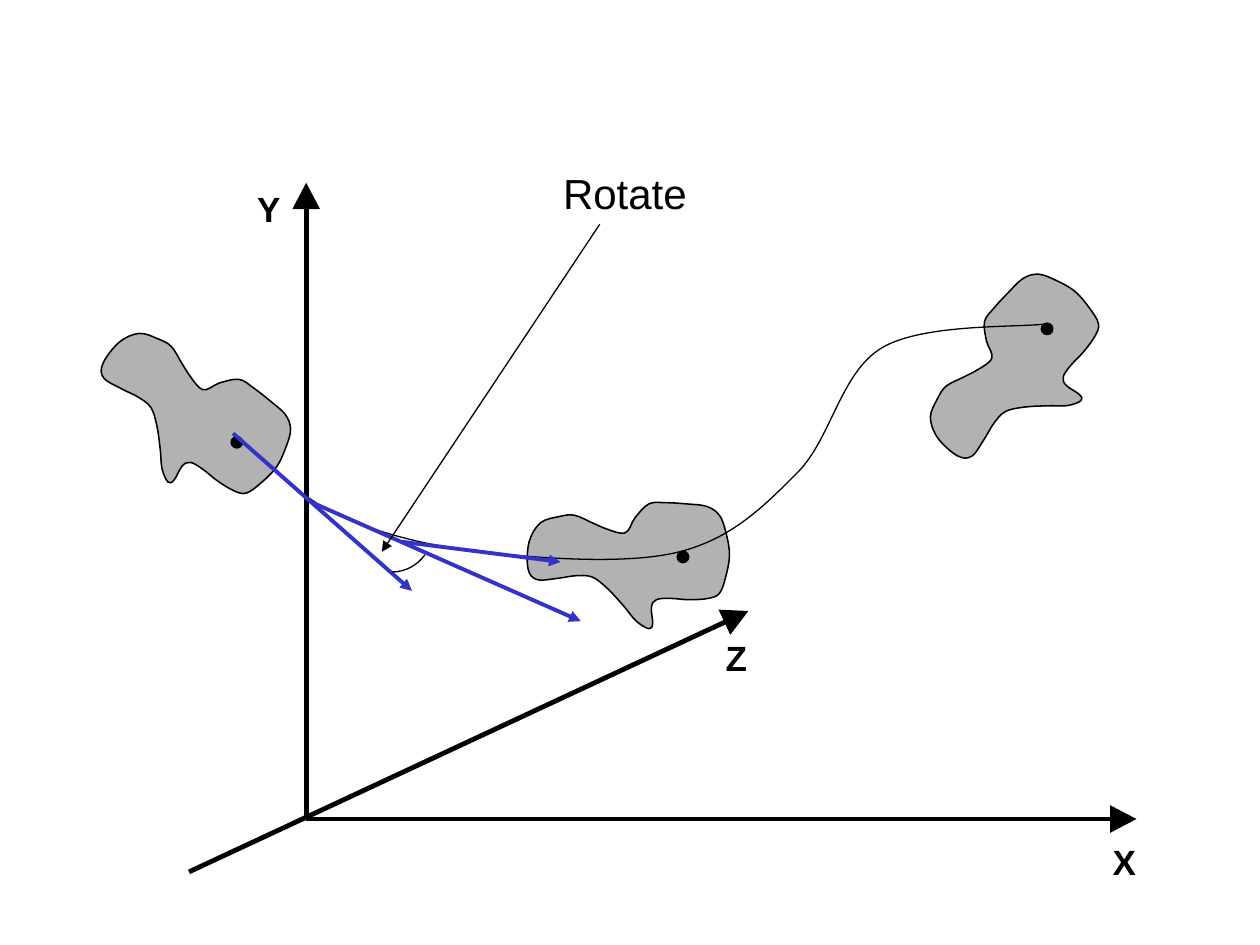
import math

import pptx
import pptx.dml.color
import pptx.enum.shapes
import pptx.enum.text
import pptx.oxml.ns
import pptx.util
from lxml import etree
from pptx.util import Inches

BLACK = pptx.dml.color.RGBColor(0x00, 0x00, 0x00)
GRAY = pptx.dml.color.RGBColor(0xB2, 0xB2, 0xB2)
BLUE = pptx.dml.color.RGBColor(0x33, 0x33, 0xCC)

NECK = [(-0.63, -0.23), (-0.46, -0.19), (-0.38, -0.31)]
LARGE_LOBE = [(-0.27, -0.42), (-0.14, -0.43), (0.03, -0.42), (0.19, -0.4), (0.29, -0.33),
              (0.34, -0.2), (0.37, -0.02), (0.34, 0.16), (0.29, 0.29), (0.2, 0.33),
              (0.05, 0.34), (-0.1, 0.33)]
SPIKE = [(-0.21, 0.34), (-0.25, 0.4), (-0.24, 0.53), (-0.27, 0.57), (-0.37, 0.51),
         (-0.47, 0.39), (-0.6, 0.25)]
SMALL_LOBE = [(-0.72, 0.16), (-0.85, 0.15), (-0.99, 0.17), (-1.16, 0.18), (-1.23, 0.09),
              (-1.22, -0.12), (-1.13, -0.27), (-0.98, -0.32), (-0.86, -0.33), (-0.72, -0.27)]
BODY = NECK + LARGE_LOBE + SPIKE + SMALL_LOBE
POSES = [((1.88, 3.51), 34.6), ((5.42, 4.42), 0), ((8.31, 2.61), -50.6)]
PIVOT_RADIUS = 0.045

ORIGIN = (2.43, 6.5)
AXES = [(ORIGIN, (2.43, 1.45)), (ORIGIN, (9.02, 6.5)), ((1.5, 6.92), (5.94, 4.85))]
AXIS_LABELS = [("X", 8.83, 6.67, 0.19), ("Y", 2.04, 1.49, 0.19), ("Z", 5.76, 5.05, 0.17)]
ARROWHEAD_LENGTH, ARROWHEAD_HALF_WIDTH, SHAFT_GAP = 0.21, 0.11, 0.18

MOTION_KNOTS = [(1.93, 3.51), (2.67, 4.08), (3.82, 4.38), (5.39, 4.38), (6.33, 3.75),
                (7, 2.76), (8.31, 2.57)]
TANGENTS = [((1.85, 3.44), (3.27, 4.69)), ((2.48, 3.99), (4.61, 4.93)), ((3.19, 4.3), (4.45, 4.46))]


def place_point(point, center, degrees):
    """Rotate a point about zero, then move zero to the center."""
    (x, y), angle = point, math.radians(degrees)
    return (center[0] + x * math.cos(angle) - y * math.sin(angle),
            center[1] + x * math.sin(angle) + y * math.cos(angle))


def smooth_points(knots, closed):
    """Return the start and the Bezier triples of a Catmull-Rom curve through knots."""
    if closed:
        padded = [knots[-1], *knots, knots[0], knots[1]]
    else:
        padded = [knots[0], *knots, knots[-1]]
    points = [padded[1]]
    for before, start, end, after in zip(padded, padded[1:], padded[2:], padded[3:]):
        leave = tuple(s + (e - b) / 6 for b, s, e in zip(before, start, end))
        arrive = tuple(e - (a - s) / 6 for s, e, a in zip(start, end, after))
        points += [leave, arrive, end]
    return points


def style_shape(shape, fill=None, width=None):
    """Set the fill and the black outline of a shape."""
    shape.shadow.inherit = False
    if fill is None:
        shape.fill.background()
    else:
        shape.fill.solid()
        shape.fill.fore_color.rgb = fill
    if width is None:
        shape.line.fill.background()
    else:
        shape.line.color.rgb = BLACK
        shape.line.width = pptx.util.Pt(width)


def add_outline(slide, points, fill=None, width=None, closed=True):
    """Add a straight-sided freeform through points given in inches."""
    corners = [(Inches(x), Inches(y)) for x, y in points]
    builder = slide.shapes.build_freeform(*corners[0])
    builder.add_line_segments(corners[1:], close=closed)
    outline = builder.convert_to_shape()
    style_shape(outline, fill, width)
    return outline


def add_curve(slide, knots, fill=None, width=None, closed=False):
    """Add a smooth freeform through knots by turning line triples into Beziers."""
    curve = add_outline(slide, smooth_points(knots, closed), fill, width, closed)
    qn = pptx.oxml.ns.qn
    segments = list(curve._element.iter(qn("a:lnTo")))
    for first in range(0, len(segments) - 2, 3):
        bezier = etree.Element(qn("a:cubicBezTo"))
        segments[first].addprevious(bezier)
        for segment in segments[first:first + 3]:
            bezier.append(segment[0])
            segment.getparent().remove(segment)


def add_round(slide, preset, center, radius, fill=None, width=None):
    """Add a preset shape that fits a circle."""
    left, top = (Inches(value - radius) for value in center)
    shape = slide.shapes.add_shape(preset, left, top, Inches(2 * radius), Inches(2 * radius))
    style_shape(shape, fill, width)
    return shape


def add_line(slide, start, end, color=BLACK, width=2.75, arrow=None):
    """Add a straight line with an optional headEnd or tailEnd arrow."""
    line = slide.shapes.add_connector(
        pptx.enum.shapes.MSO_CONNECTOR.STRAIGHT, *(Inches(value) for value in start + end))
    line.line.color.rgb = color
    line.line.width = pptx.util.Pt(width)
    qn = pptx.oxml.ns.qn
    if arrow:
        etree.SubElement(line.line._get_or_add_ln(), qn(f"a:{arrow}"), type="triangle")
    etree.SubElement(line._element.spPr, qn("a:effectLst"))


def add_text(slide, text, left, top, width, height, size=20, bold=False, inset=(0, 0)):
    """Add a one-line label."""
    box = slide.shapes.add_textbox(Inches(left), Inches(top), Inches(width), Inches(height))
    frame = box.text_frame
    frame.word_wrap = False
    frame.auto_size = pptx.enum.text.MSO_AUTO_SIZE.SHAPE_TO_FIT_TEXT
    frame.margin_left = frame.margin_right = Inches(inset[0])
    frame.margin_top = frame.margin_bottom = Inches(inset[1])
    paragraph = frame.paragraphs[0]
    paragraph.text = text
    font = paragraph.runs[0].font
    font.name = "Arial"
    font.size = pptx.util.Pt(size)
    font.bold = bold
    font.color.rgb = BLACK


def add_body(slide, pivot, degrees):
    """Add the rigid body turned about its pivot, with the pivot marked."""
    outline = [place_point(point, pivot, degrees) for point in BODY]
    add_curve(slide, outline, fill=GRAY, width=0.88, closed=True)
    add_round(slide, pptx.enum.shapes.MSO_SHAPE.OVAL, pivot, PIVOT_RADIUS, fill=BLACK, width=0.88)


def add_axis(slide, start, tip):
    """Add an axis shaft and the large arrowhead at its tip."""
    degrees = math.degrees(math.atan2(tip[1] - start[1], tip[0] - start[0]))
    add_line(slide, start, place_point((-SHAFT_GAP, 0), tip, degrees))
    arrowhead = [(0, 0), (-ARROWHEAD_LENGTH, ARROWHEAD_HALF_WIDTH),
                 (-ARROWHEAD_LENGTH, -ARROWHEAD_HALF_WIDTH)]
    add_outline(slide, [place_point(point, tip, degrees) for point in arrowhead], fill=BLACK)


def add_angle_arc(slide, center, radius, start, end):
    """Add a circular arc between two angles in degrees."""
    arc = add_round(slide, pptx.enum.shapes.MSO_SHAPE.ARC, center, radius, width=0.75)
    arc.adjustments[0] = start * 0.6
    arc.adjustments[1] = end * 0.6


def main():
    """Build the slide of a body rotating along a motion curve."""
    deck = pptx.Presentation()
    deck.slide_width, deck.slide_height = Inches(10), Inches(7.5)
    slide = deck.slides.add_slide(deck.slide_layouts[6])
    for pivot, degrees in POSES:
        add_body(slide, pivot, degrees)
    for start, tip in AXES:
        add_axis(slide, start, tip)
    for letter, left, top, width in AXIS_LABELS:
        add_text(slide, letter, left, top, width, 0.33, bold=True)
    add_curve(slide, MOTION_KNOTS, width=0.75)
    for start, end in TANGENTS:
        add_line(slide, start, end, color=BLUE, width=2.25, arrow="tailEnd")
    add_angle_arc(slide, (3.11, 4.22), 0.32, 35, 90)
    add_line(slide, (3.03, 4.38), (4.76, 1.78), width=0.75, arrow="headEnd")
    add_text(slide, "Rotate", 4.37, 1.28, 1.18, 0.5, size=24, inset=(0.1, 0.05))
    deck.save("out.pptx")


if __name__ == "__main__":
    main()
